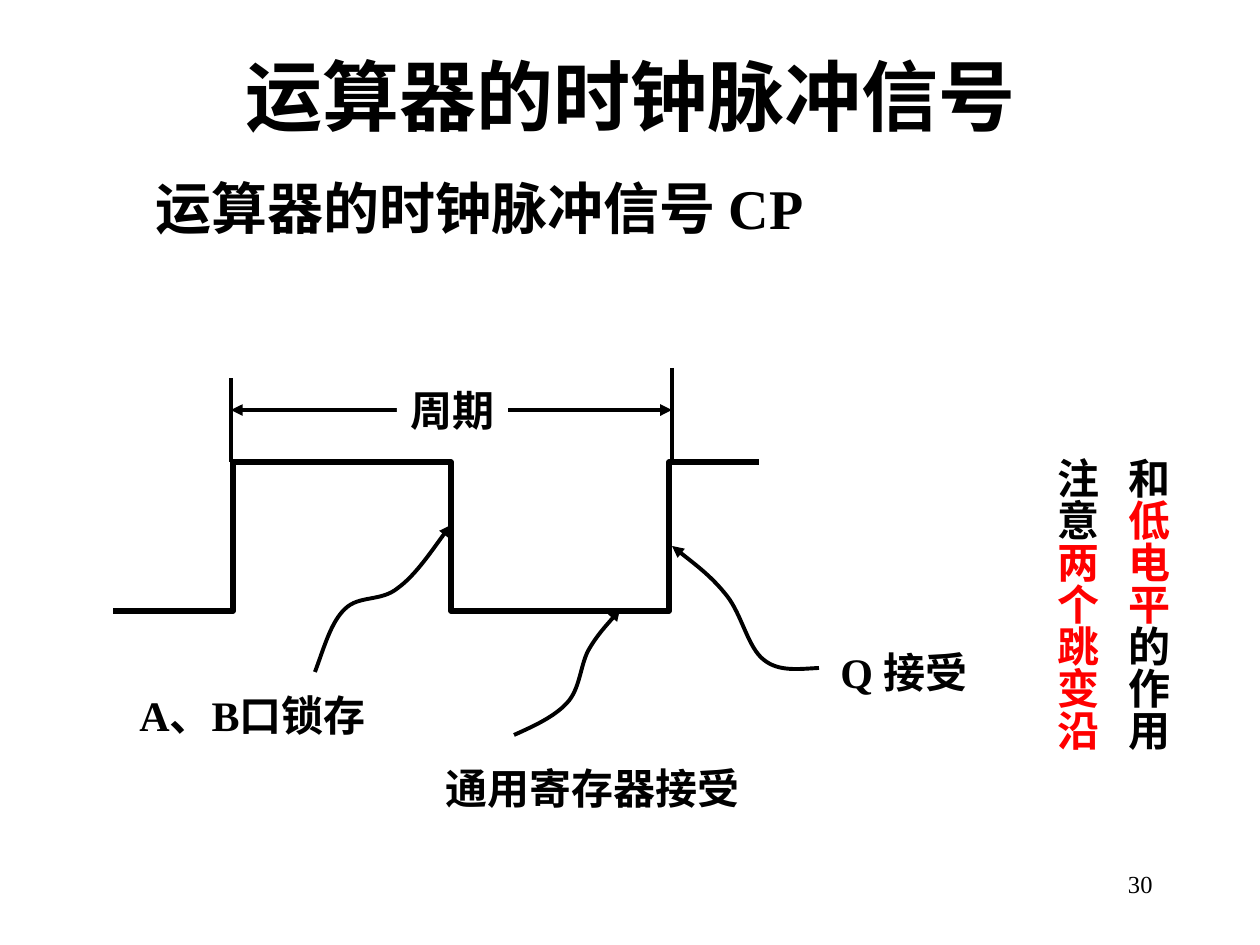
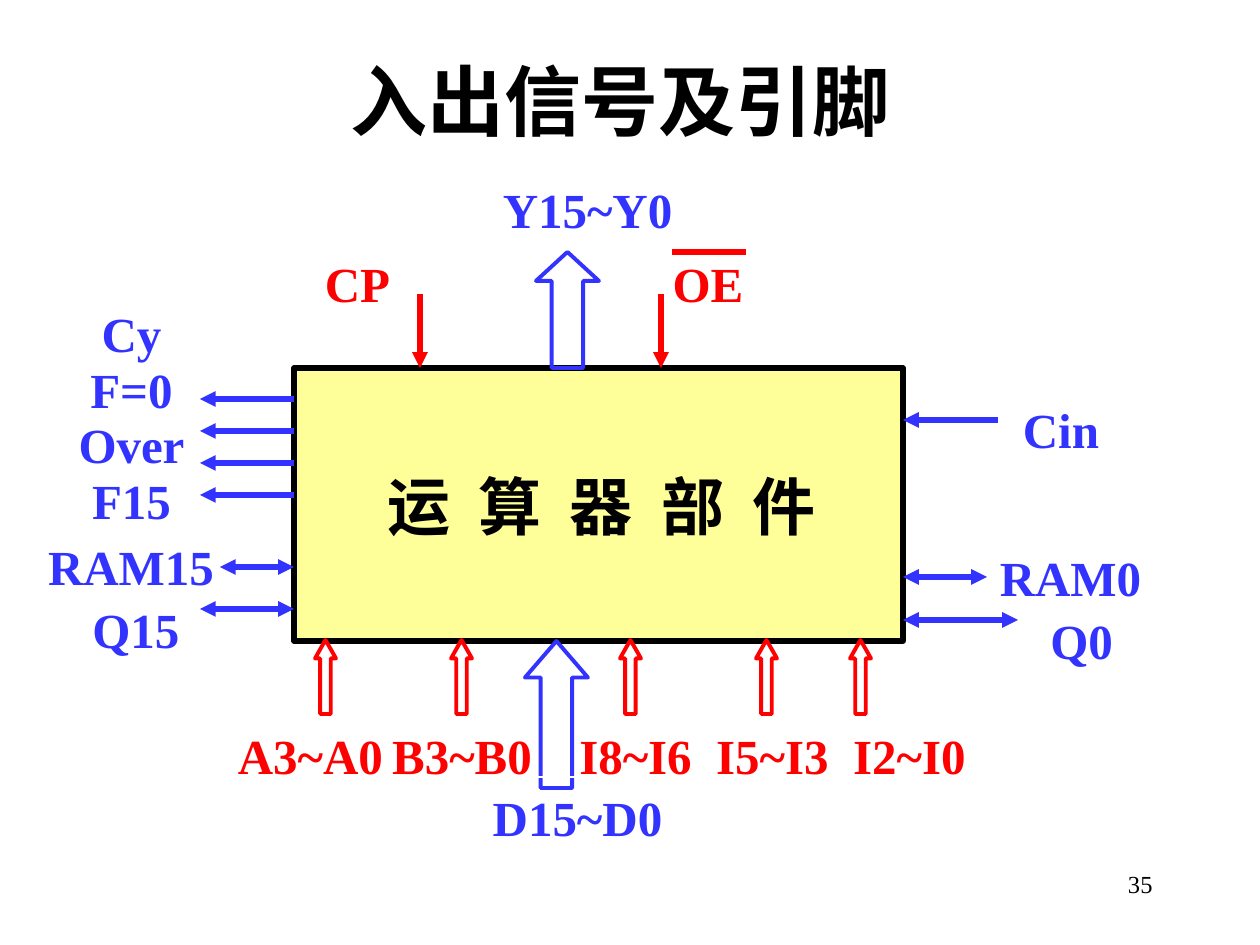
import pptx
import pptx.util
import pptx.dml.color
import pptx.enum.shapes
import pptx.enum.text
import pptx.oxml.ns
import lxml.etree

PX = 914400 / 126
FONT = "Times New Roman"
BLACK = pptx.dml.color.RGBColor(0x00, 0x00, 0x00)
WHITE = pptx.dml.color.RGBColor(0xFF, 0xFF, 0xFF)
RED = pptx.dml.color.RGBColor(0xFF, 0x00, 0x00)
BLUE = pptx.dml.color.RGBColor(0x33, 0x33, 0xFF)
CREAM = pptx.dml.color.RGBColor(0xFF, 0xFF, 0x99)

KIND = pptx.enum.shapes.MSO_SHAPE
ALIGN = pptx.enum.text.PP_ALIGN
ANCHOR = pptx.enum.text.MSO_ANCHOR
qn = pptx.oxml.ns.qn


def emu(*vals):
    return [round(val * PX) for val in vals]


def place(box, part):
    return emu(box[0] + part[0], box[1] + part[1], *part[2:])


def write(par, runs, size, bold=True):
    for text, tint, gap in runs:
        run = par.add_run()
        run.text = text
        run.font.name = FONT
        run.font.size = pptx.util.Pt(size)
        run.font.bold = bold
        run.font.color.rgb = tint
        if gap:
            run.font._element.set("spc", str(gap * 100))


def spread(words, tint, gap):
    runs = []
    for word in words:
        if runs:
            runs.append((" ", tint, gap))
        runs.append((word, tint, 0))
    return runs


def fill_text(shape, rows, size, align=ALIGN.CENTER, anchor=ANCHOR.TOP,
              wrap=True, top=6, gap=0, pitch=None, bold=True):
    frame = shape.text_frame
    frame.word_wrap = wrap
    frame.auto_size = pptx.enum.text.MSO_AUTO_SIZE.NONE
    frame.vertical_anchor = anchor
    frame.margin_top = emu(top)[0]
    for num, runs in enumerate(rows):
        par = frame.add_paragraph() if num else frame.paragraphs[0]
        par.alignment = align
        if num:
            par.space_before = pptx.util.Pt(gap)
        if pitch:
            par.line_spacing = pitch
        write(par, runs, size, bold)


def label(slide, box, part, rows, size, **style):
    if isinstance(rows, str):
        rows = [[(rows, BLACK, 0)]]
    shape = slide.shapes.add_textbox(*place(box, part))
    fill_text(shape, rows, size, **style)
    return shape


def stroke(shape, tint, width, head=False, tail=False):
    shape.line.color.rgb = tint
    shape.line.width = pptx.util.Pt(width)
    line = shape.line._get_or_add_ln()
    for tag, used in (("a:headEnd", head), ("a:tailEnd", tail)):
        if used:
            lxml.etree.SubElement(line, qn(tag), type="triangle")


def block(slide, kind, box, part, tint, width, fill=None):
    shape = slide.shapes.add_shape(kind, *place(box, part))
    shape.shadow.inherit = False
    if fill is None:
        shape.fill.background()
    else:
        shape.fill.solid()
        shape.fill.fore_color.rgb = fill
    stroke(shape, tint, width)
    return shape


def link(slide, box, start, end, tint, width, head=False, tail=False):
    line = slide.shapes.add_connector(
        pptx.enum.shapes.MSO_CONNECTOR.STRAIGHT,
        *place(box, start), *place(box, end))
    stroke(line, tint, width, head, tail)
    lxml.etree.SubElement(line._element.spPr, qn("a:effectLst"))


def trace(slide, box, points, width, curve=False, **ends):
    spots = [(box[0] + x, box[1] + y) for x, y in points]
    maker = slide.shapes.build_freeform(*spots[0], scale=PX)
    maker.add_line_segments(spots[1:], close=False)
    shape = maker.convert_to_shape()
    shape.shadow.inherit = False
    shape.fill.background()
    stroke(shape, BLACK, width, **ends)
    if curve:
        bend(shape)


def bend(shape):
    route = next(shape._element.iter(qn("a:path")))
    legs = route.findall(qn("a:lnTo"))
    for num in range(0, len(legs), 3):
        arc = lxml.etree.SubElement(route, qn("a:cubicBezTo"))
        for leg in legs[num:num + 3]:
            arc.append(leg[0])
            route.remove(leg)


def start_slide(deck, title, box, page):
    slide = deck.slides.add_slide(deck.slide_layouts[5])
    head = slide.shapes.title
    head.left, head.top, head.width, head.height = emu(*box)
    fill_text(head, [[(title, BLACK, 0)]], 44, anchor=ANCHOR.MIDDLE)
    label(slide, (903, 861), (0, 0, 262, 63), page, 14,
          align=ALIGN.RIGHT, top=8, bold=False)
    return slide


def draw_wave(slide, box):
    low, high = 251, 102
    rise, fall, next_rise = (133 + 218 * num for num in range(3))

    label(slide, box, (26, 323, 253, 63), "A、B口锁存", 24, anchor=ANCHOR.MIDDLE)
    label(slide, box, (332, 396, 321, 63), "通用寄存器接受", 24,
          anchor=ANCHOR.MIDDLE, wrap=False)
    label(slide, box, (727, 280, 154, 63), "Q 接受", 24, anchor=ANCHOR.MIDDLE)

    trace(slide, box, [
        (572, 186), (592, 202), (612, 217), (627, 236), (642, 255),
        (648, 288), (664, 300), (679, 312), (699, 309), (719, 308),
    ], 2.25, curve=True, head=True)
    trace(slide, box, [
        (414, 375), (434, 366), (454, 357), (467, 343), (480, 329),
        (480, 307), (488, 291), (497, 275), (515, 256), (520, 249),
    ], 2.25, curve=True, tail=True)
    trace(slide, box, [
        (215, 312), (224, 288), (231, 262), (245, 249), (259, 235),
        (281, 242), (298, 228), (316, 215), (342, 176), (351, 165),
    ], 2.25, curve=True, tail=True)

    left, right = 131, 572
    link(slide, box, (left, 18), (left, high), BLACK, 2.25)
    link(slide, box, (right, 8), (right, high), BLACK, 2.25)
    link(slide, box, (left, 50), (right, 50), BLACK, 2.25, True, True)
    term = label(slide, box, (297, 18, 111, 63), "周期", 24,
                 anchor=ANCHOR.MIDDLE, wrap=False)
    term.fill.solid()
    term.fill.fore_color.rgb = WHITE

    trace(slide, box, [
        (13, low), (rise, low), (rise, high), (fall, high),
        (fall, low), (next_rise, low), (next_rise, high), (659, high),
    ], 3)


def draw_note(slide, box):
    rows = [
        [("和", BLACK, 0), ("低电平", RED, 0), ("的作用", BLACK, 0)],
        [("注意", BLACK, 0), ("两个跳变沿", RED, 0)],
    ]
    note = label(slide, box, (0, 0, *box[2:]), rows, 24,
                 anchor=ANCHOR.MIDDLE, wrap=False, gap=12)
    note._element.txBody.bodyPr.set("vert", "eaVert")


def draw_chip(slide, box):
    wide, tall = box[2:]
    block(slide, KIND.RECTANGLE, box, (0, 0, wide, tall), BLACK, 3, CREAM)
    label(slide, box, (74, 94, 467, 88), [spread("运算器部件", BLACK, 8)],
          36, wrap=False)


def draw_pins(slide, box):
    wide, tall = box[2:]
    for num in range(4):
        y = 31 + 32 * num
        link(slide, box, (0, y), (-94, y), BLUE, 3, tail=True)
    link(slide, box, (704, 52), (wide, 52), BLUE, 3, tail=True)
    for side, far, y in ((wide, 693, 209), (wide, 724, 252),
                         (0, -94, 241), (0, -74, 199)):
        link(slide, box, (far, y), (side, y), BLUE, 3, True, True)
    for x in (126, 367):
        link(slide, box, (x, -74), (x, 0), RED, 3, tail=True)
    link(slide, box, (378, -116), (452, -116), RED, 3)

    buses = [(242, -116, 63, 116, BLUE, 0.46), (231, tall, 63, 147, BLUE, 0.58)]
    buses += [(x, tall - 1, 21, 74, RED, 0.88) for x in (21, 157, 326, 462, 556)]
    for *part, tint, tip in buses:
        bus = block(slide, KIND.UP_ARROW, box, part, tint, 2.25)
        bus.adjustments[1] = tip


def draw_names(slide, box):
    names = [
        ("Y15~Y0", BLUE, 178, -200, 231),
        ("RAM15", BLUE, -263, 157, 200),
        ("Q15", BLUE, -221, 220, 126),
        ("RAM0", BLUE, 682, 168, 189),
        ("Q0", BLUE, 735, 231, 105),
        ("CP", RED, 11, -126, 105),
        ("OE", RED, 346, -126, 136),
        ("Cin", BLUE, 704, 20, 126),
        ("A3~A0", RED, -73, 346, 179),
        ("B3~B0", RED, 84, 346, 168),
    ]
    for text, tint, x, y, width in names:
        label(slide, box, (x, y, width, 72), [[(text, tint, 0)]], 28, top=11)
    label(slide, box, (263, 346, 431, 72),
          [spread(("I8~I6", "I5~I3", "I2~I0"), RED, 7)], 28, top=11)
    data = block(slide, KIND.RECTANGLE, box, (168, 409, 231, 73), WHITE, 0.75)
    fill_text(data, [[("D15~D0", BLUE, 0)]], 28, top=11)
    flags = [[(text, BLUE, 0)] for text in ("Cy", "F=0", "Over", "F15")]
    label(slide, box, (-241, -53, 157, 219), flags, 28,
          top=14, gap=15, pitch=0.5)


def clock_slide(deck):
    slide = start_slide(deck, "运算器的时钟脉冲信号", (95, 42, 1071, 105), "30")
    label(slide, (143, 168), (0, 0, 1023, 90), "运算器的时钟脉冲信号 CP", 32,
          align=ALIGN.LEFT)
    draw_wave(slide, (100, 360, 900, 470))
    draw_note(slide, (1037, 452, 151, 312))


def pin_slide(deck):
    slide = start_slide(deck, "入出信号及引脚", (84, 32, 1072, 136), "35")
    box = (294, 368, 609, 273)
    draw_chip(slide, box)
    draw_pins(slide, box)
    draw_names(slide, box)


def main():
    deck = pptx.Presentation()
    deck.slide_width, deck.slide_height = emu(1260, 945)
    clock_slide(deck)
    pin_slide(deck)
    deck.save("out.pptx")


if __name__ == "__main__":
    main()
